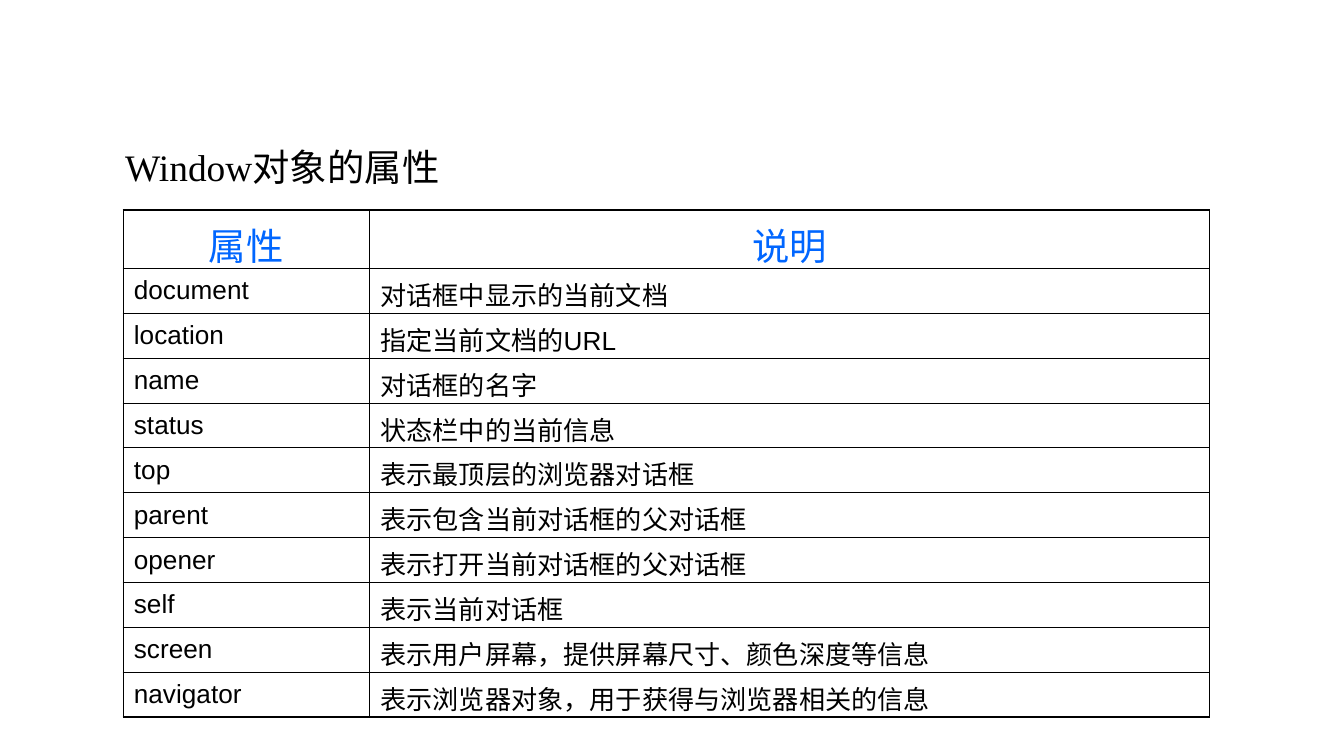
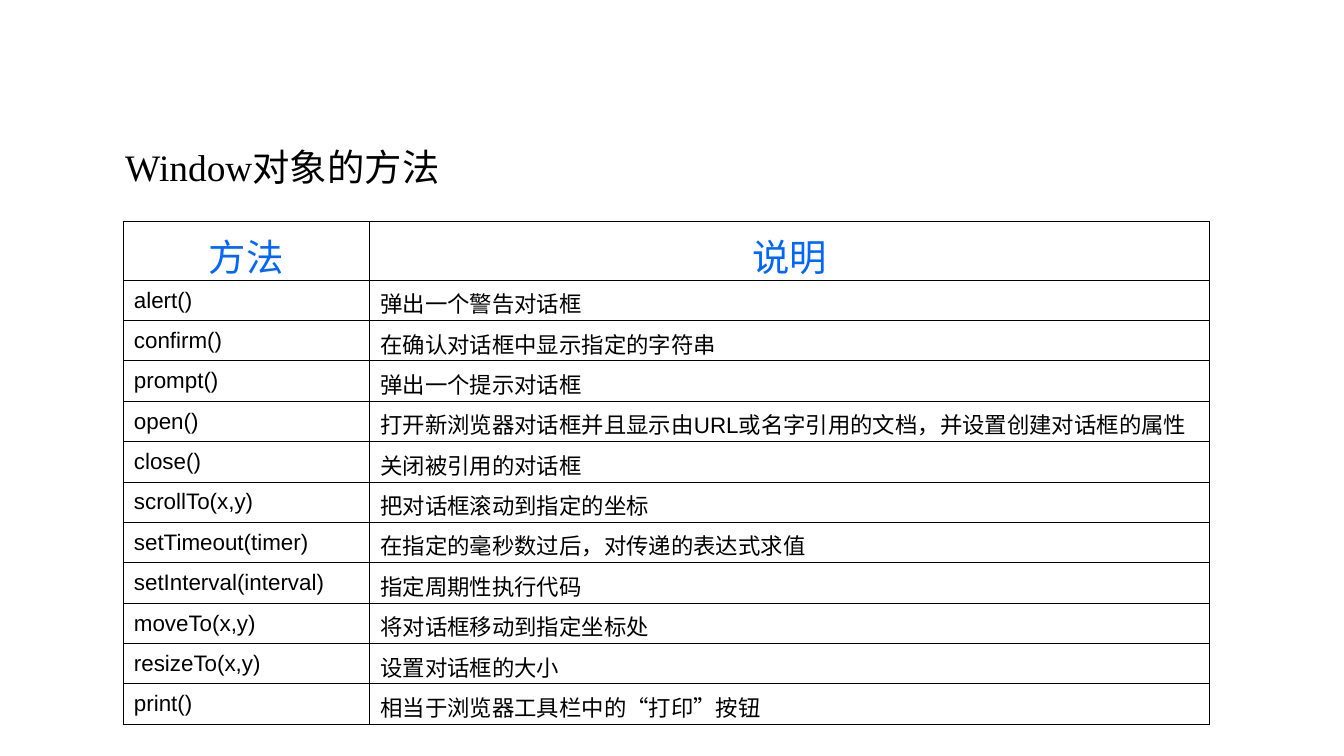
from lxml.etree import SubElement
from pptx import Presentation
from pptx.dml.color import RGBColor
from pptx.enum.text import MSO_ANCHOR, MSO_AUTO_SIZE, PP_ALIGN
from pptx.oxml.ns import qn
from pptx.util import Inches, Pt

BLACK, BLUE = "000000", "0066FF"

# Content
PROPERTIES = [
    ("document", "对话框中显示的当前文档"),
    ("location", "指定当前文档的URL"),
    ("name", "对话框的名字"),
    ("status", "状态栏中的当前信息"),
    ("top", "表示最顶层的浏览器对话框"),
    ("parent", "表示包含当前对话框的父对话框"),
    ("opener", "表示打开当前对话框的父对话框"),
    ("self", "表示当前对话框"),
    ("screen", "表示用户屏幕，提供屏幕尺寸、颜色深度等信息"),
    ("navigator", "表示浏览器对象，用于获得与浏览器相关的信息"),
]
METHODS = [
    ("alert()", "弹出一个警告对话框"),
    ("confirm()", "在确认对话框中显示指定的字符串"),
    ("prompt()", "弹出一个提示对话框"),
    ("open()", "打开新浏览器对话框并且显示由URL或名字引用的文档，并设置创建对话框的属性"),
    ("close()", "关闭被引用的对话框"),
    ("scrollTo(x,y)", "把对话框滚动到指定的坐标"),
    ("setTimeout(timer)", "在指定的毫秒数过后，对传递的表达式求值"),
    ("setInterval(interval)", "指定周期性执行代码"),
    ("moveTo(x,y)", "将对话框移动到指定坐标处"),
    ("resizeTo(x,y)", "设置对话框的大小"),
    ("print()", "相当于浏览器工具栏中的“打印”按钮"),
]


def rgb(value):
    return RGBColor.from_string(value)


def grid(units):
    """A grid of 120 columns across the slide, with square cells."""
    return Inches(units / 12)


class Deck:
    title_font, table_font = "Times New Roman", "Arial"
    heading_size = 20
    outer_line, inner_line = 0.75, 0.45
    columns = (22, 75)
    header_height = 5.2

    def __init__(self):
        self.presentation = Presentation()
        self.presentation.slide_width = grid(120)
        self.presentation.slide_height = grid(67.5)
        self.slide = None

    def new_slide(self):
        blank = self.presentation.slide_layouts[6]
        self.slide = self.presentation.slides.add_slide(blank)

    def add_text(self, paragraph, text, size, font, color):
        run = paragraph.add_run()
        run.text = text
        run.font.size = Pt(size)
        run.font.name = font
        run.font.color.rgb = rgb(color)

    def title(self, text, width):
        box = self.slide.shapes.add_textbox(grid(10), grid(12.25), grid(width), grid(5.25))
        frame = box.text_frame
        frame.word_wrap = True
        frame.auto_size = MSO_AUTO_SIZE.SHAPE_TO_FIT_TEXT
        self.add_text(frame.paragraphs[0], text, self.heading_size, self.title_font, BLACK)

    def borders(self, cell, outer_sides):
        properties = cell._tc.get_or_add_tcPr()
        for side, is_outer in outer_sides.items():
            width = Pt(self.outer_line if is_outer else self.inner_line)
            line = SubElement(properties, qn(f"a:ln{side}"), w=str(width))
            fill = SubElement(line, qn("a:solidFill"))
            SubElement(fill, qn("a:srgbClr"), val=BLACK)

    def cell(self, cell, text, size, is_header):
        cell.vertical_anchor = MSO_ANCHOR.MIDDLE
        cell.margin_left = cell.margin_right = Inches(0.1 if is_header else 0.08)
        cell.margin_top = cell.margin_bottom = Inches(0.05)
        paragraph = cell.text_frame.paragraphs[0]
        paragraph.alignment = PP_ALIGN.CENTER if is_header else PP_ALIGN.JUSTIFY
        if not is_header:
            paragraph.space_after = Pt(1.2)
        self.add_text(paragraph, text, size, self.table_font, BLUE if is_header else BLACK)

    def reference_table(self, top, header, entries, row_height, size):
        rows = [header, *entries]
        heights = [self.header_height] + [row_height] * len(entries)
        table = self.slide.shapes.add_table(
            len(rows), len(self.columns), grid(11), grid(top),
            grid(sum(self.columns)), grid(sum(heights))).table
        table.first_row = table.horz_banding = False
        for column, width in zip(table.columns, self.columns):
            column.width = grid(width)
        for r, (texts, height) in enumerate(zip(rows, heights)):
            table.rows[r].height = grid(height)
            for c, text in enumerate(texts):
                cell = table.cell(r, c)
                self.borders(cell, {"L": c == 0, "R": c == len(texts) - 1,
                                    "T": r == 0, "B": r == len(rows) - 1})
                cell.fill.background()
                self.cell(cell, text, self.heading_size if r == 0 else size, r == 0)


def main():
    deck = Deck()

    # Properties of the window object
    deck.new_slide()
    deck.title("Window对象的属性", width=35)
    deck.reference_table(18.75, ("属性", "说明"), PROPERTIES, row_height=4, size=14)

    # Methods of the window object
    deck.new_slide()
    deck.title("Window对象的方法", width=57)
    deck.reference_table(19.8, ("方法", "说明"), METHODS, row_height=3.6, size=12)

    deck.presentation.save("out.pptx")


if __name__ == "__main__":
    main()
